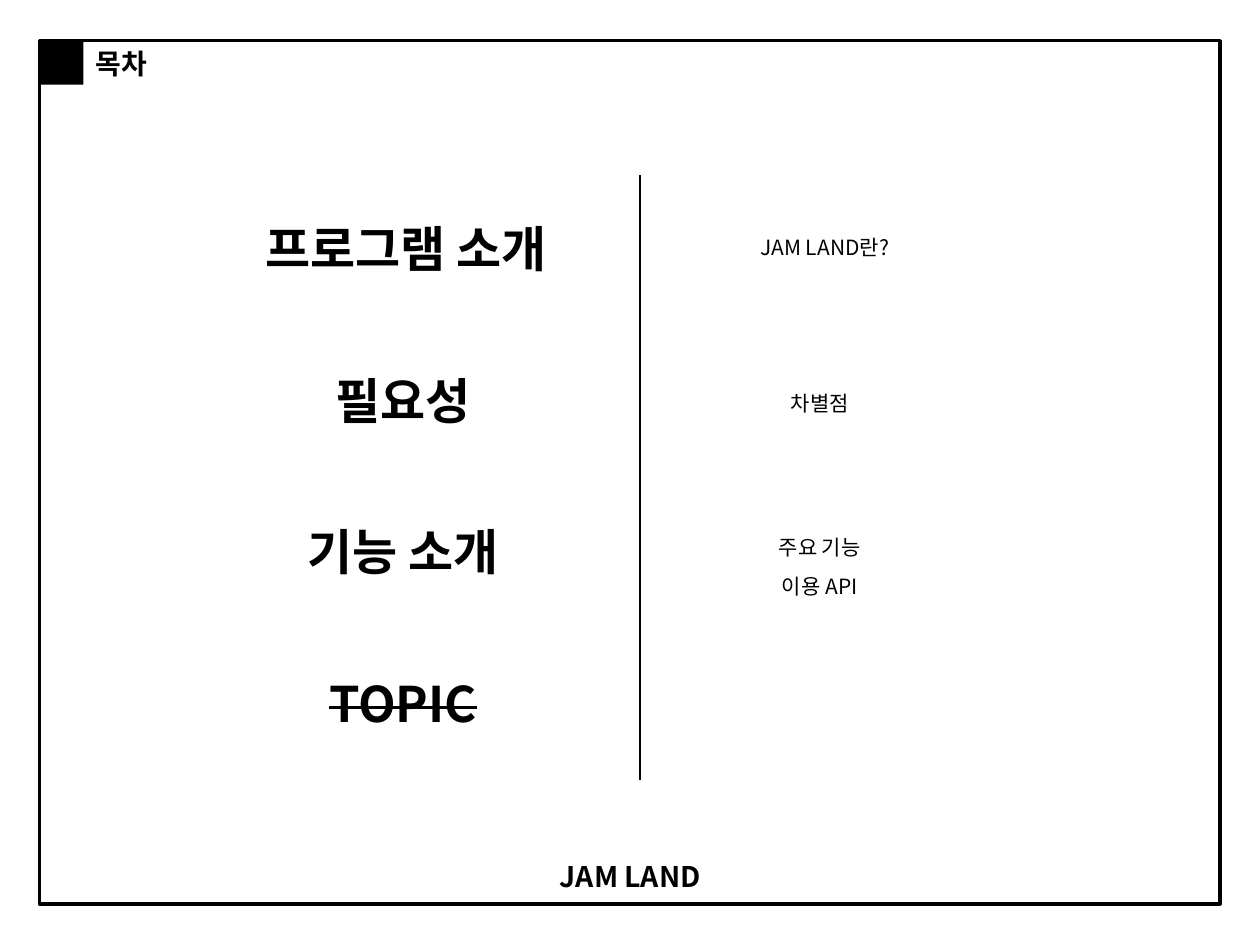
from dataclasses import dataclass

from lxml.etree import SubElement
from pptx import Presentation
from pptx.dml.color import RGBColor
from pptx.enum.shapes import MSO_CONNECTOR, MSO_SHAPE
from pptx.enum.text import MSO_ANCHOR, PP_ALIGN
from pptx.oxml.ns import qn
from pptx.util import Pt


@dataclass(frozen=True)
class Theme:
    """Colours, font and type sizes of the deck."""
    ink: RGBColor = RGBColor(0, 0, 0)
    paper: RGBColor = RGBColor(255, 255, 255)
    font: str = "Noto Sans CJK KR"
    topic: float = 28
    footer: float = 16.2
    heading: float = 16
    detail: float = 12


class Deck:
    """Draws elements on the current slide in one theme."""

    def __init__(self, prs, theme):
        """Add a title-only slide."""
        self.theme = theme
        self.s = prs.slides.add_slide(prs.slide_layouts[5])
        self.s.background.fill.solid()
        self.s.background.fill.fore_color.rgb = theme.paper

    def set_text(self, sp, text, size, bold=False, strike=False):
        """Fill a shape with one centred line of text."""
        tf = sp.text_frame
        tf.text = text
        tf.word_wrap = True
        tf.vertical_anchor = MSO_ANCHOR.MIDDLE
        tf.margin_left = tf.margin_right = tf.margin_top = tf.margin_bottom = 0
        p = tf.paragraphs[0]
        p.alignment = PP_ALIGN.CENTER
        r = p.runs[0]
        r.font.size, r.font.bold, r.font.name = Pt(size), bold, self.theme.font
        r.font.color.rgb = self.theme.ink
        rPr = r._r.get_or_add_rPr()
        SubElement(rPr, qn("a:ea")).set("typeface", self.theme.font)
        if strike:
            rPr.set("strike", "sngStrike")

    def title(self, text, x, y, w, h, size):
        """Place the title placeholder."""
        sp = self.s.shapes.title
        sp.left, sp.top, sp.width, sp.height = Pt(x), Pt(y), Pt(w), Pt(h)
        self.set_text(sp, text, size, bold=True)

    def text(self, text, x, y, w, h, size, **style):
        """Add a text box."""
        sp = self.s.shapes.add_textbox(Pt(x), Pt(y), Pt(w), Pt(h))
        self.set_text(sp, text, size, **style)

    def box(self, x, y, w, h, line=None):
        """Add a solid box, or an outlined one if a line width is given."""
        sp = self.s.shapes.add_shape(MSO_SHAPE.RECTANGLE, Pt(x), Pt(y), Pt(w), Pt(h))
        sp.shadow.inherit = False
        if line:
            sp.fill.background()
            sp.line.color.rgb = self.theme.ink
            sp.line.width = Pt(line)
        else:
            sp.fill.solid()
            sp.fill.fore_color.rgb = self.theme.ink
            sp.line.fill.background()

    def rule(self, x1, y1, x2, y2, width):
        """Add a straight line."""
        sp = self.s.shapes.add_connector(MSO_CONNECTOR.STRAIGHT, Pt(x1), Pt(y1), Pt(x2), Pt(y2))
        sp.line.color.rgb = self.theme.ink
        sp.line.width = Pt(width)
        SubElement(sp._element.spPr, qn("a:effectLst"))


prs = Presentation()
prs.slide_width, prs.slide_height = Pt(720), Pt(540)
theme = Theme()
deck = Deck(prs, theme)

deck.box(22.5, 23.25, 674.75, 493.25, line=2)
deck.box(22.5, 23.25, 25.2, 25.2)
deck.text("목차", 10, 23, 119, 26.6, theme.heading, bold=True)
deck.title("JAM LAND", 295, 489.6, 130.3, 22.3, theme.footer)
deck.rule(365.75, 100, 365.75, 445.7, 0.75)

row_h = 45.4
topics = [("프로그램 소개", 128.9, 205.9), ("필요성", 145.4, 169.9),
          ("기능 소개", 145.4, 169.9), ("TOPIC", 145.4, 169.9)]
for i, (topic, x, w) in enumerate(topics):
    deck.text(topic, x, 119 + 86.6 * i, w, row_h, theme.topic,
              bold=True, strike=topic == "TOPIC")

details = [("JAM LAND란?", 393.8, 118.8), ("차별점", 391, 207.4),
           ("주요 기능", 391, 290.2), ("이용 API", 391, 312.5)]
for detail, x, y in details:
    deck.text(detail, x, y, 154.8, row_h, theme.detail)

prs.save("out.pptx")
